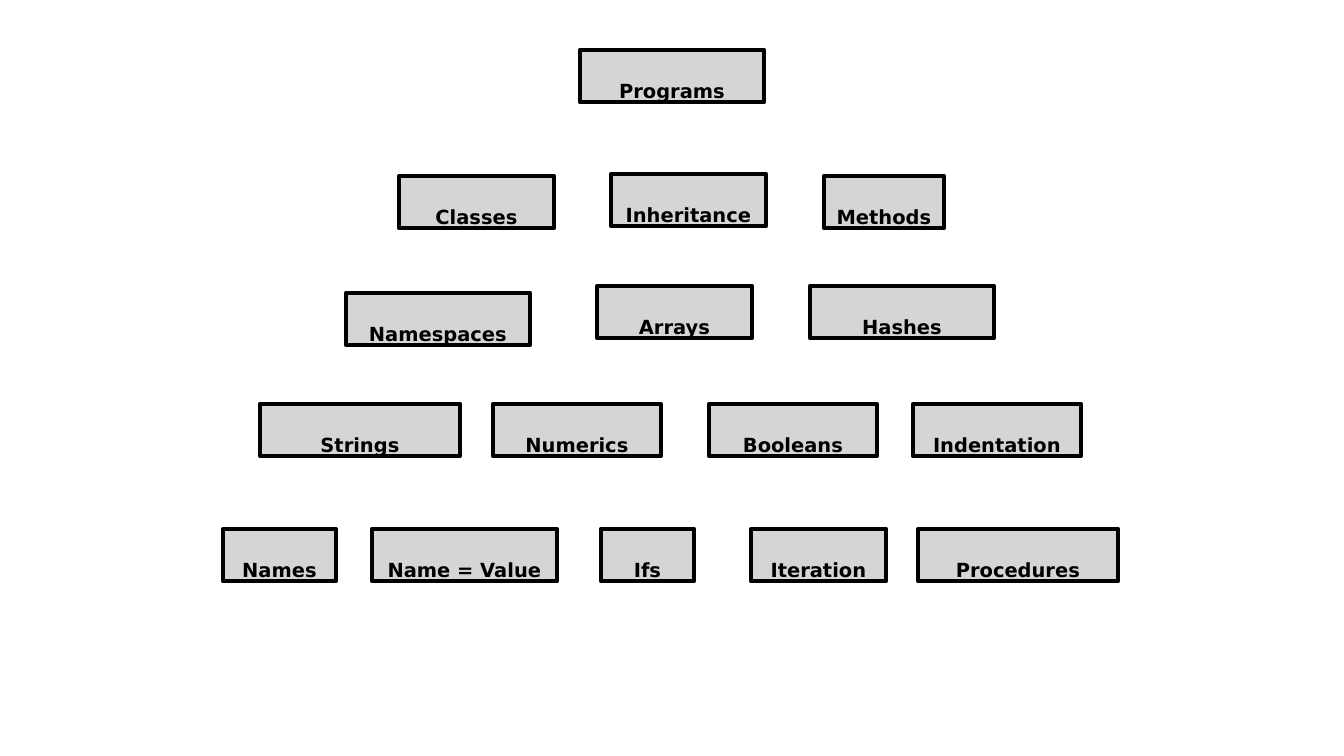
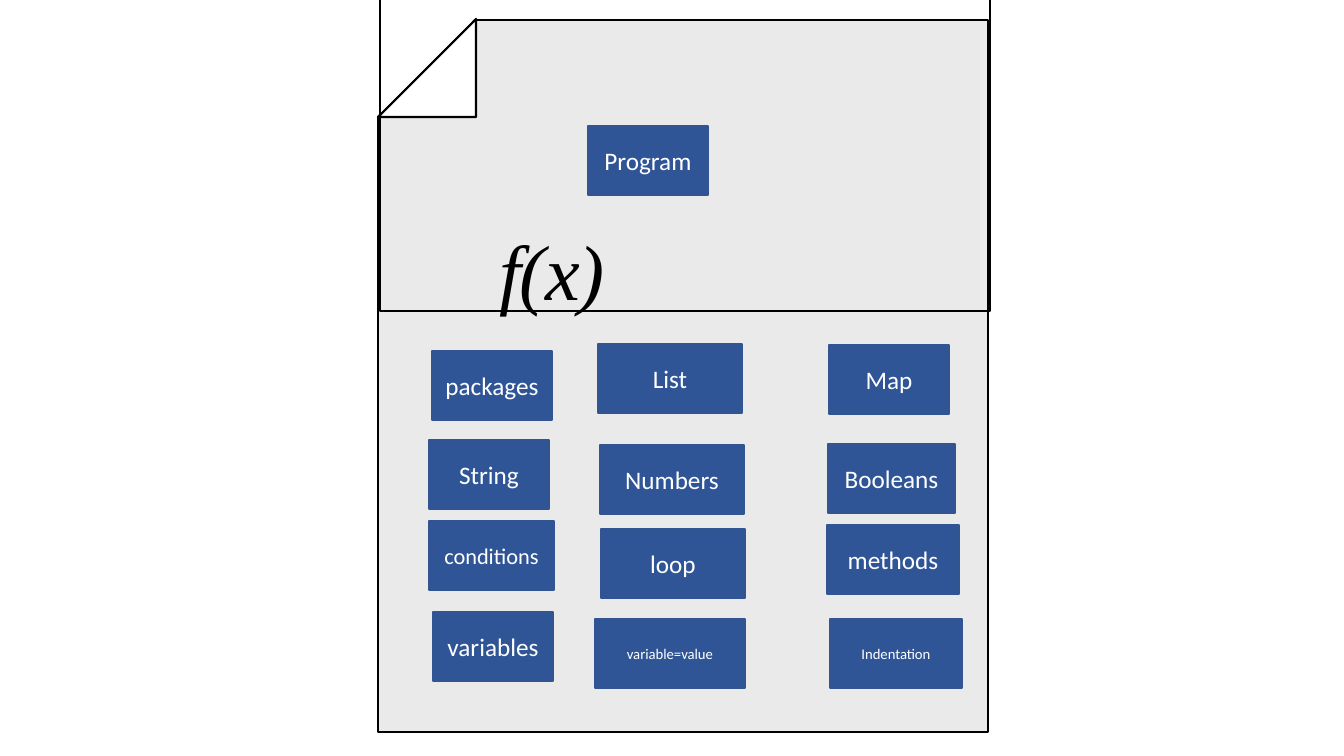
from lxml import etree
from pptx import Presentation
from pptx.dml.color import RGBColor
from pptx.enum.shapes import MSO_SHAPE
from pptx.enum.text import MSO_ANCHOR, PP_ALIGN
from pptx.oxml.ns import qn
from pptx.util import Pt

RECTANGLE = MSO_SHAPE.RECTANGLE
TOP, MIDDLE = MSO_ANCHOR.TOP, MSO_ANCHOR.MIDDLE
CENTER = PP_ALIGN.CENTER

EMU_PER_PX = 914400 / 100.8
SLIDE_W, SLIDE_H = 1344, 756
BLANK_LAYOUT = 6

BLACK = RGBColor(0x00, 0x00, 0x00)
WHITE = RGBColor(0xFF, 0xFF, 0xFF)
NODE_GREY = RGBColor(0xD6, 0xD5, 0xD5)
PAGE_GREY = RGBColor(0xEA, 0xEA, 0xEA)
BLOCK_BLUE = RGBColor(0x2F, 0x55, 0x97)
BLOCK_EDGE = RGBColor(0x32, 0x54, 0x91)

NODE_H = 52
BLOCK_H = 69
FOLD = 98
PAGE_LINE = 1.65

# Each row: top, then (word, left, width, shift down)
PYRAMID_ROWS = [
    (0, [("Programs", 357, 184, 0)]),
    (124, [("Classes", 176, 155, 2), ("Inheritance", 388, 155, 0),
           ("Methods", 601, 120, 2)]),
    (236, [("Namespaces", 123, 184, 7), ("Arrays", 374, 155, 0),
           ("Hashes", 587, 184, 0)]),
    (354, [("Strings", 37, 200, 0), ("Numerics", 270, 168, 0),
           ("Booleans", 486, 168, 0), ("Indentation", 690, 168, 0)]),
    (479, [("Names", 0, 113, 0), ("Name = Value", 149, 185, 0),
           ("Ifs", 378, 93, 0), ("Iteration", 528, 135, 0),
           ("Procedures", 695, 200, 0)]),
]

# Each block: word, left, top, width, text size
PAGE_BLOCKS = [
    ("Program", 210, 106, 120, 18),
    ("packages", 54, 331, 120, 18),
    ("List", 220, 324, 144, 18),
    ("Map", 451, 325, 120, 18),
    ("String", 51, 420, 120, 18),
    ("Numbers", 222, 425, 144, 18),
    ("Booleans", 450, 424, 127, 18),
    ("conditions", 51, 501, 125, 16),
    ("loop", 223, 509, 144, 18),
    ("methods", 449, 505, 132, 18),
    ("variables", 55, 592, 120, 18),
    ("variable=value", 217, 599, 150, 10.5),
    ("Indentation", 452, 599, 132, 10.5),
]


def px(length):
    return round(length * EMU_PER_PX)


def paint(shape, fill, line, line_width):
    """Set fill and outline, either of which may be None, without shadow."""
    shape.shadow.inherit = False
    if fill is None:
        shape.fill.background()
    else:
        shape.fill.solid()
        shape.fill.fore_color.rgb = fill
    if line is None:
        shape.line.fill.background()
    else:
        shape.line.color.rgb = line
        shape.line.width = Pt(line_width)
        etree.SubElement(shape.line._get_or_add_ln(), qn("a:round"))


def add_box(slide, left, top, width, height, fill, line, line_width):
    box = slide.shapes.add_shape(
        RECTANGLE, px(left), px(top), px(width), px(height))
    paint(box, fill, line, line_width)
    return box


def add_outline(slide, points, fill, line=None, line_width=0):
    builder = slide.shapes.build_freeform(*points[0], scale=EMU_PER_PX)
    builder.add_line_segments(points[1:], close=True)
    paint(builder.convert_to_shape(), fill, line, line_width)


def write(box, text, font, size, color, anchor, insets,
          bold=False, italic=False):
    """Centre one line of text; insets are left, top, right, bottom."""
    frame = box.text_frame
    frame.word_wrap = True
    frame.vertical_anchor = anchor
    (frame.margin_left, frame.margin_top,
     frame.margin_right, frame.margin_bottom) = map(px, insets)
    paragraph = frame.paragraphs[0]
    paragraph.alignment = CENTER
    run = paragraph.add_run()
    run.text = text
    run.font.name = font
    run.font.size = Pt(size)
    run.font.bold = bold
    run.font.italic = italic
    run.font.color.rgb = color
    return run


def add_pyramid(slide, left, top):
    for row_top, nodes in PYRAMID_ROWS:
        for word, x, width, shift in nodes:
            node = add_box(slide, left + x, top + row_top + shift,
                           width, NODE_H, NODE_GREY, BLACK, 3.3)
            write(node, word, "DejaVu Sans", 13.9, BLACK, TOP,
                  (0, 29, 0, 0), bold=True)


def add_folded_page(slide, left, top, width, height):
    add_box(slide, left, top, width, height, PAGE_GREY, BLACK, PAGE_LINE)
    right, bottom = left + FOLD, top + FOLD - 1
    add_outline(slide, [(right, top - 1), (right, bottom), (left, bottom)],
                WHITE, BLACK, PAGE_LINE)
    add_outline(slide, [(right - 1, top - 2), (left - 1, top - 2),
                        (left - 1, bottom - 1)], WHITE)


def add_blocks(slide, left, top):
    for word, x, y, width, size in PAGE_BLOCKS:
        block = add_box(slide, left + x, top + y, width, BLOCK_H,
                        BLOCK_BLUE, BLOCK_EDGE, 1)
        write(block, word, "Calibri", size, WHITE, MIDDLE, (10, 5, 10, 5))


def add_function_frame(slide, left, top, width, height):
    frame = add_box(slide, left, top, width, height, None, BLACK, PAGE_LINE)
    formula = write(frame, "f(x)", "Times New Roman", 55.8, BLACK, TOP,
                    (0, 223, 266, 0), italic=True)
    formula.font._element.set("spc", "-70")


def main():
    deck = Presentation()
    deck.slide_width, deck.slide_height = px(SLIDE_W), px(SLIDE_H)
    layout = deck.slide_layouts[BLANK_LAYOUT]

    add_pyramid(deck.slides.add_slide(layout), 223, 50)

    page_slide = deck.slides.add_slide(layout)
    page_left, page_top, page_width = 378, 20, 610
    add_folded_page(page_slide, page_left, page_top, page_width, 712)
    add_blocks(page_slide, page_left, page_top)
    add_function_frame(page_slide, page_left + 2, page_top - 21,
                       page_width, 312)

    deck.save("out.pptx")


if __name__ == "__main__":
    main()
